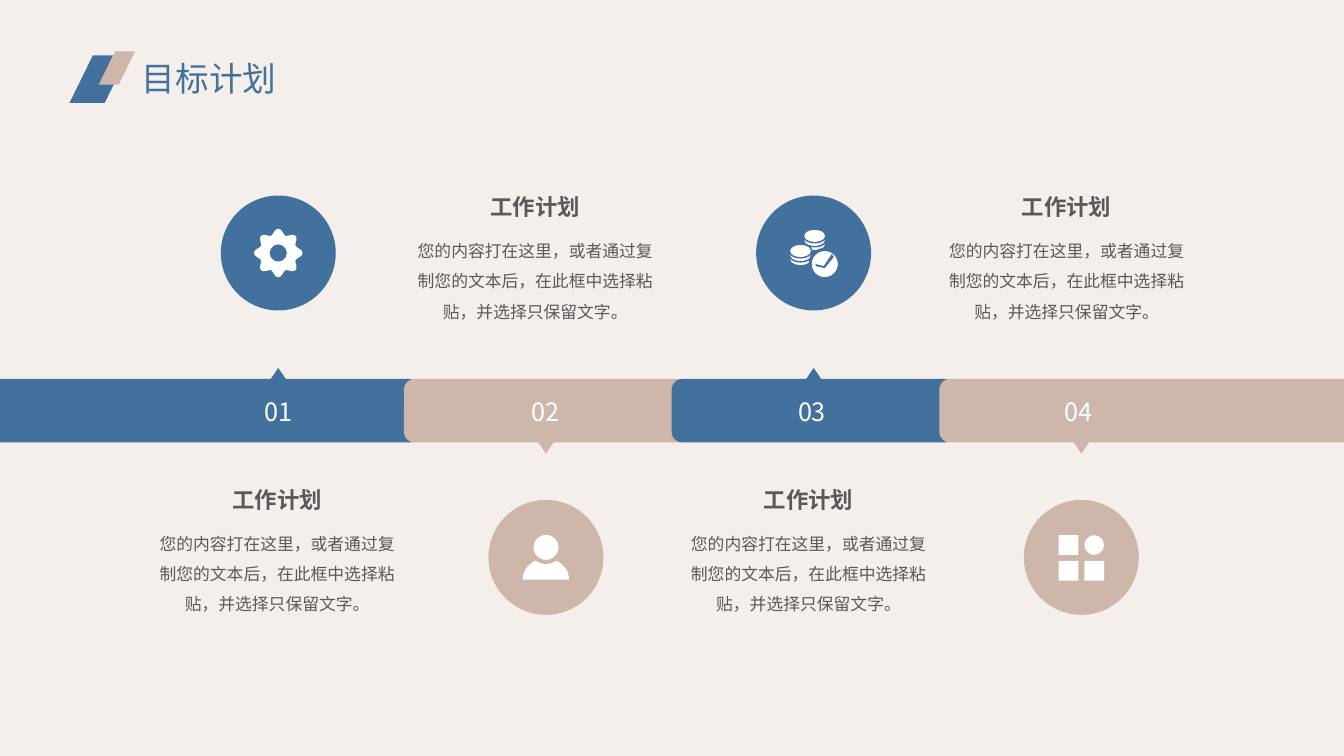
from math import cos, pi, sin

from lxml import etree
from pptx import Presentation
from pptx import util as u
from pptx.dml.color import RGBColor
from pptx.enum import shapes, text
from pptx.oxml.ns import qn

TITLE = "目标计划"
HEADING = "工作计划"
BODY = "您的内容打在这里，或者通过复制您的文本后，在此框中选择粘贴，并选择只保留文字。"
STEPS = [("01", "gear"), ("02", "person"), ("03", "coins"), ("04", "tiles")]

BLUE = RGBColor(0x41, 0x71, 0x9C)
ROSE = RGBColor(0xCE, 0xB6, 0xAA)
CREAM = RGBColor(0xF4, 0xEF, 0xEB)
GREY = RGBColor(0x59, 0x59, 0x59)
WHITE = RGBColor(0xFF, 0xFF, 0xFF)
FONT = "Noto Sans CJK SC"
KIND = shapes.MSO_SHAPE

WIDTH, HEIGHT = 13.33, 7.5
FIRST_CENTRE, STEP = 2.76, 2.655
BAND_TOP, BAND_HEIGHT = 3.76, 0.63
OVERLAP, BLEED = 0.08, 0.16
DISC = 1.14
POINTER_WIDTH, POINTER_HEIGHT = 0.19, 0.14
UPPER_DISC, LOWER_DISC = 1.94, 4.96
UPPER_TEXT, LOWER_TEXT = 1.92, 4.82
TEXT_CENTRE, TEXT_STEP, TEXT_PAIR = 2.75, 2.56, 5.27

deck = Presentation()
deck.slide_width, deck.slide_height = u.Inches(WIDTH), u.Inches(HEIGHT)
page = deck.slides.add_slide(deck.slide_layouts[6])
page.background.fill.solid()
page.background.fill.fore_color.rgb = CREAM


def paint(shape, colour):
    shape.shadow.inherit = False
    shape.fill.solid()
    shape.fill.fore_color.rgb = colour
    shape.line.fill.background()
    return shape


def add(kind, left, top, width, height, colour):
    place = [u.Inches(v) for v in (left, top, width, height)]
    return paint(page.shapes.add_shape(kind, *place), colour)


def outline(points, colour):
    corners = [(u.Inches(x), u.Inches(y)) for x, y in points]
    builder = page.shapes.build_freeform(*corners[0])
    builder.add_line_segments(corners[1:], close=True)
    return paint(builder.convert_to_shape(), colour)


def oval(x, y, width, height, halo, colour):
    shape = add(KIND.OVAL, x - (width + halo) / 2, y - (height + halo) / 2,
                width + halo, height + halo, WHITE)
    shape.line.color.rgb = colour
    shape.line.width = u.Inches(halo)


def write(words, left, top, width, height, font, frame_format=None, para_format=None):
    box = page.shapes.add_textbox(*[u.Inches(v) for v in (left, top, width, height)])
    frame = box.text_frame
    frame_values = {"word_wrap": True, "margin_left": 0, "margin_right": 0,
                    "margin_top": 0, "margin_bottom": 0}
    para = frame.paragraphs[0]
    span = para.add_run()
    span.text = words
    span.font.name = FONT
    etree.SubElement(span.font._element, qn("a:ea")).set("typeface", FONT)
    size, colour, bold = font
    span.font.color.rgb = colour
    for target, values in (
        (frame, {**frame_values, **(frame_format or {})}),
        (para, {"alignment": text.PP_ALIGN.CENTER, **(para_format or {})}),
        (span.font, {"size": u.Pt(size), "bold": bold}),
    ):
        for name, value in values.items():
            setattr(target, name, value)


def gear(x, y, colour):
    angles = [2 * pi * n / 144 for n in range(144)]
    radii = [0.213 + 0.027 * cos(8 * a) for a in angles]
    outline([(x + r * cos(a), y + r * sin(a)) for r, a in zip(radii, angles)], WHITE)
    add(KIND.OVAL, x - 0.085, y - 0.085, 0.17, 0.17, colour)


def person(x, y, colour):
    base = y + 0.22
    arc = [pi * n / 40 for n in range(41)]
    outline([(x + 0.23 * cos(a), base - 0.21 * sin(a)) for a in arc], WHITE)
    oval(x, y - 0.1, 0.25, 0.25, 0.04, colour)


def coins(x, y, colour):
    for stack_x, stack_y in ((0.01, -0.17), (-0.13, -0.02)):
        for layer in (2, 1, 0):
            oval(x + stack_x, y + stack_y + 0.04 * layer, 0.21, 0.12, 0.015, colour)
    oval(x + 0.11, y + 0.11, 0.26, 0.26, 0.03, colour)
    tick = [(0.11, 0.15), (0.02, 0.13), (0.02, 0.11), (0.1, 0.13), (0.18, 0.01), (0.2, 0.04)]
    outline([(x + dx, y + dy) for dx, dy in tick], colour)


def tiles(x, y, colour):
    side, pitch = 0.195, 0.255
    for row in range(2):
        for column in range(2):
            kind = KIND.OVAL if (row, column) == (0, 1) else KIND.RECTANGLE
            add(kind, x - 0.225 + column * pitch, y - 0.22 + row * pitch, side, side, WHITE)


ICONS = {"gear": gear, "person": person, "coins": coins, "tiles": tiles}
FIT = {"auto_size": text.MSO_AUTO_SIZE.SHAPE_TO_FIT_TEXT}

for index, (number, icon) in enumerate(STEPS):
    upper = index % 2 == 0
    colour = BLUE if upper else ROSE
    centre = FIRST_CENTRE + index * STEP
    left, right = centre - STEP / 2 - OVERLAP, centre + STEP / 2 + OVERLAP
    left = -BLEED if index == 0 else left
    right = WIDTH + BLEED if index == len(STEPS) - 1 else right
    add(KIND.ROUNDED_RECTANGLE, left, BAND_TOP, right - left, BAND_HEIGHT, colour)

    pointer_top = 3.65 if upper else 4.36
    pointer = add(KIND.ISOSCELES_TRIANGLE, centre - POINTER_WIDTH / 2, pointer_top,
                  POINTER_WIDTH, POINTER_HEIGHT, colour)
    pointer.rotation = 0 if upper else 180

    disc_top = UPPER_DISC if upper else LOWER_DISC
    add(KIND.OVAL, centre - DISC / 2, disc_top, DISC, DISC, colour)
    ICONS[icon](centre, disc_top + DISC / 2, colour)

    text_centre = TEXT_CENTRE + index // 2 * TEXT_PAIR + index % 2 * TEXT_STEP
    text_top = LOWER_TEXT if upper else UPPER_TEXT
    write(HEADING, text_centre - 0.55, text_top, 1.1, 0.27, (16, GREY, True), FIT)
    write(BODY, text_centre - 1.2, text_top + 0.37, 2.4, 0.91, (12, GREY, False),
          FIT, {"line_spacing": 1.5})
    write(number, FIRST_CENTRE + index * 2.647 - 0.28, 3.87, 0.56, 0.43, (18, WHITE, False),
          {"vertical_anchor": text.MSO_ANCHOR.MIDDLE})

for place, colour in (((0.69, 0.55, 0.58, 0.47), BLUE), ((0.98, 0.51, 0.36, 0.33), ROSE)):
    add(KIND.PARALLELOGRAM, *place, colour).adjustments[0] = 0.49

write(TITLE, 1.31, 0.53, 1.55, 0.5, (24, BLUE, False),
      {**FIT, "word_wrap": False, "margin_left": u.Inches(0.1), "margin_right": u.Inches(0.1),
       "margin_top": u.Inches(0.05), "margin_bottom": u.Inches(0.05)},
      {"alignment": text.PP_ALIGN.LEFT})

deck.save("out.pptx")
